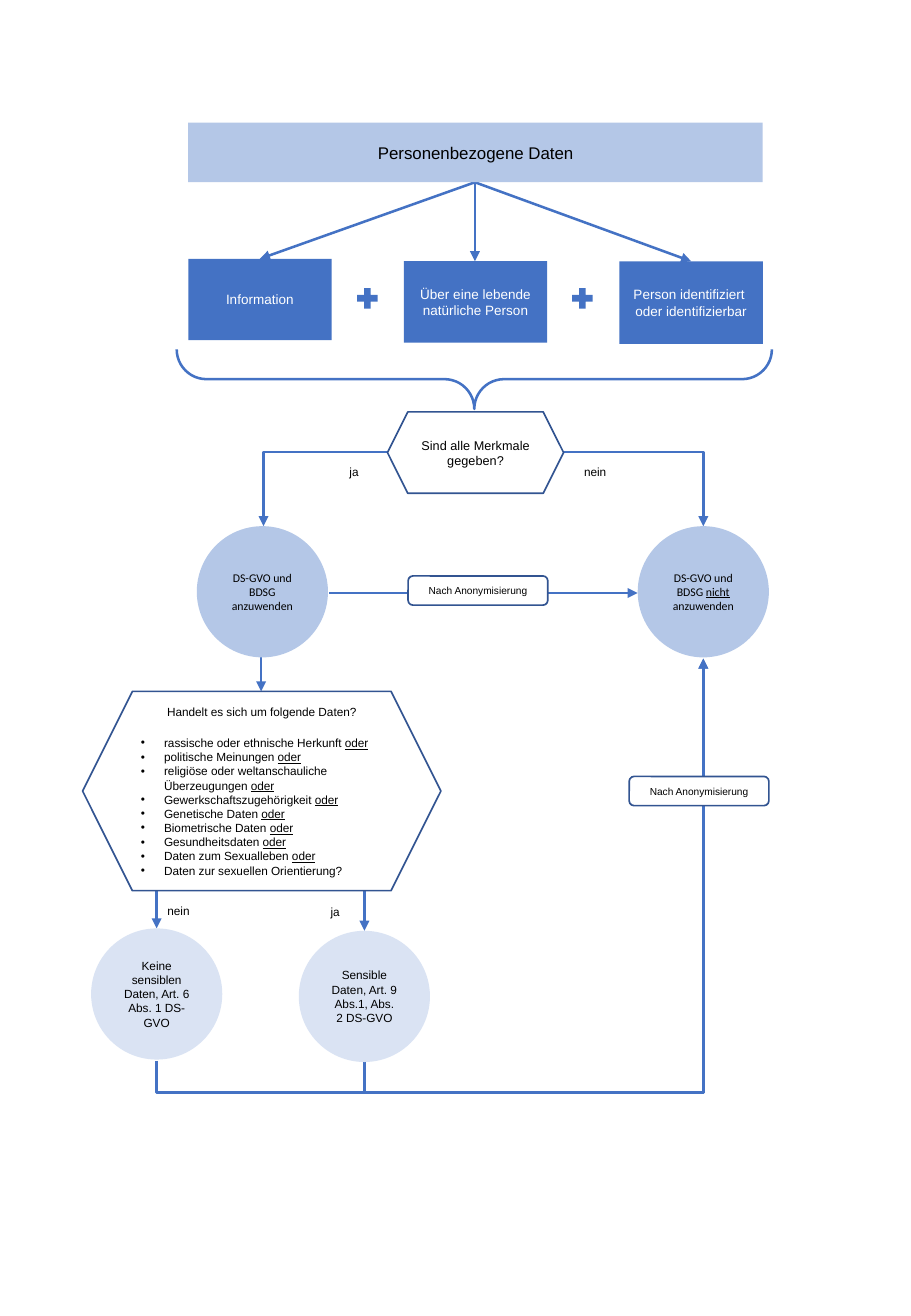
from dataclasses import dataclass
from typing import Optional

import lxml.etree
import pptx
import pptx.dml.color
import pptx.enum.shapes
import pptx.enum.text
import pptx.oxml.ns
import pptx.util

KIND = pptx.enum.shapes.MSO_SHAPE
JOIN = pptx.enum.shapes.MSO_CONNECTOR
ALIGN = pptx.enum.text.PP_ALIGN
qn = pptx.oxml.ns.qn


@dataclass(frozen=True)
class Theme:
    blue: str = "4472C4"
    edge: str = "325491"
    soft: str = "B4C7E7"
    pale: str = "DAE3F3"
    white: str = "FFFFFF"
    black: str = "000000"
    sans: str = "Arial"
    round: str = "Calibri"
    title: float = 10
    card: float = 8
    ask: float = 7.5
    body: float = 7
    tag: float = 6
    thick: float = 1.5
    thin: float = 1
    gap: float = 10


@dataclass
class Box:
    """A shape on the grid; _marks_ in its text underline a word."""
    kind: KIND
    left: float
    top: float
    wide: float
    high: float
    text: str = ""
    size: float = 7
    fill: Optional[str] = None
    edge: Optional[str] = None
    ink: str = "000000"
    font: str = "Arial"
    inset: bool = True


@dataclass
class Arrow:
    x1: float
    y1: float
    x2: float
    y2: float
    bent: bool = False


T = Theme()
deck = pptx.Presentation()
deck.slide_width = pptx.util.Inches(7.5)
deck.slide_height = pptx.util.Inches(10.83)
slide = deck.slides.add_slide(deck.slide_layouts[6])
COL = deck.slide_width / 75
ROW = deck.slide_height / 108.3


def cols(n: float) -> int:
    return round(n * COL)


def rows(n: float) -> int:
    return round(n * ROW)


def tint(code: str) -> pptx.dml.color.RGBColor:
    return pptx.dml.color.RGBColor.from_string(code)


def write(para, text: str, box: Box) -> None:
    for n, part in enumerate(text.split("_")):
        for row, words in enumerate(part.split("\n")):
            if row:
                para.add_line_break()
            if words:
                run = para.add_run()
                run.text = words
                run.font.name = box.font
                run.font.size = pptx.util.Pt(box.size)
                run.font.color.rgb = tint(box.ink)
                run.font.underline = n % 2 == 1


def draw(box: Box):
    shape = slide.shapes.add_shape(box.kind, cols(box.left), rows(box.top),
                                   cols(box.wide), rows(box.high))
    shape.shadow.inherit = False
    if box.fill:
        shape.fill.solid()
        shape.fill.fore_color.rgb = tint(box.fill)
    else:
        shape.fill.background()
    if box.edge:
        shape.line.color.rgb = tint(box.edge)
        shape.line.width = pptx.util.Pt(T.thin)
    else:
        shape.line.fill.background()
    frame = shape.text_frame
    frame.word_wrap = True
    frame.vertical_anchor = pptx.enum.text.MSO_ANCHOR.MIDDLE
    if not box.inset:
        frame.margin_left = frame.margin_right = 0
    para = frame.paragraphs[0]
    para.alignment = ALIGN.CENTER
    para.space_after = pptx.util.Pt(T.gap)
    write(para, box.text, box)
    return shape


def bullet(frame, text: str, box: Box, last: bool) -> None:
    para = frame.add_paragraph()
    para.alignment = ALIGN.LEFT
    para.space_after = pptx.util.Pt(T.gap if last else 0)
    write(para, text, box)
    props = para._p.get_or_add_pPr()
    props.set("marL", str(cols(1.9)))
    props.set("indent", str(-cols(1.9)))
    lxml.etree.SubElement(props, qn("a:buFont")).set("typeface", T.sans)
    lxml.etree.SubElement(props, qn("a:buChar")).set("char", "•")


def link(arrow: Arrow):
    line = slide.shapes.add_connector(
        JOIN.ELBOW if arrow.bent else JOIN.STRAIGHT,
        cols(arrow.x1), rows(arrow.y1), cols(arrow.x2), rows(arrow.y2))
    line.line.color.rgb = tint(T.blue)
    line.line.width = pptx.util.Pt(T.thick)
    props = line.element.spPr
    tail = lxml.etree.SubElement(props.find(qn("a:ln")), qn("a:tailEnd"))
    tail.set("type", "triangle")
    lxml.etree.SubElement(props, qn("a:effectLst"))
    if arrow.bent:
        props.find(qn("a:prstGeom")).set("prst", "bentConnector2")
    return line


def loop(arrow: Arrow, floor: float) -> None:
    """Run down to the floor, across, and up: an elbow turned a quarter."""
    midx, midy = (arrow.x1 + arrow.x2) / 2, (arrow.y1 + arrow.y2) / 2
    tall, span = arrow.y1 - arrow.y2, arrow.x2 - arrow.x1
    line = link(Arrow(midx + tall / 2, midy + span / 2,
                      midx - tall / 2, midy - span / 2, True))
    props = line.element.spPr
    props.find(qn("a:xfrm")).set("rot", "5400000")
    geom = props.find(qn("a:prstGeom"))
    geom.set("prst", "bentConnector3")
    guide = lxml.etree.SubElement(geom.find(qn("a:avLst")), qn("a:gd"))
    guide.set("name", "adj1")
    guide.set("fmla", f"val {round((arrow.y1 - floor) / tall * 100000)}")


# Arrows
MID, YES, NO = 39.1, 21.7, 57.9
PLAIN, KEEN = 12.9, 30
for arrow in (
    Arrow(PLAIN, 73, PLAIN, 76.4), Arrow(KEEN, 73, KEEN, 76.6),
    Arrow(21.5, 53.2, 21.5, 56.9),
    Arrow(MID, 15, 21.4, 21.3), Arrow(MID, 15, MID, 21.5),
    Arrow(MID, 15, 56.9, 21.5),
    Arrow(46.4, 37.2, NO, 43.3, True), Arrow(31.9, 37.2, YES, 43.3, True),
    Arrow(27.1, 48.8, 52.5, 48.8),
):
    link(arrow)
loop(Arrow(KEEN, 87.4, NO, 54.2), 89.9)
loop(Arrow(PLAIN, 87.3, NO, 54.2), 89.9)

# Heading and the three traits
draw(Box(KIND.RECTANGLE, 15.5, 10.1, 47.3, 4.9, "Personenbezogene Daten",
         T.title, T.soft))
TRAITS = (("Information", 21.3, 6.7),
          ("Über eine lebende natürliche Person", 21.5, 6.7),
          ("Person identifiziert \noder identifizierbar", 21.5, 6.8))
for n, (text, top, high) in enumerate(TRAITS):
    draw(Box(KIND.RECTANGLE, 15.5 + 17.75 * n, top, 11.8, high, text,
             T.card, T.blue, ink=T.white))
for n in range(2):
    draw(Box(KIND.MATH_PLUS, 29.1 + 17.7 * n, 23.4, 2.3, 2.3, fill=T.blue))

# Brace
brace = draw(Box(KIND.LEFT_BRACE, 36.6, 6.7, 4.9, 49, edge=T.blue))
brace.rotation = 270
brace.line.width = pptx.util.Pt(T.thick)
brace.adjustments[0], brace.adjustments[1] = 0.5, 0.5

# First question and its outcomes
draw(Box(KIND.HEXAGON, 31.9, 33.9, 14.5, 6.7,
         "Sind alle Merkmale gegeben?", T.ask, edge=T.edge))
DISC = 10.8
for left, top, text, fill, font in (
    (16.2, 43.3, "DS-GVO und BDSG anzuwenden", T.soft, T.round),
    (52.5, 43.3, "DS-GVO und BDSG _nicht_ anzuwenden", T.soft, T.round),
    (7.5, 76.4, "Keine sensiblen Daten, Art. 6 Abs. 1 DS-GVO", T.pale, T.sans),
    (24.6, 76.6, "Sensible Daten, Art. 9 Abs.1, Abs. 2 DS-GVO", T.pale, T.sans),
):
    draw(Box(KIND.OVAL, left, top, DISC, DISC, text, T.body, fill, font=font))

# Branch labels
for left, top, wide, text in ((27, 37.5, 4.3, "ja"), (46.8, 37.5, 4.4, "nein"),
                              (11.9, 73.6, 5.6, "nein"), (24.8, 73.7, 5.6, "ja")):
    draw(Box(KIND.ROUNDED_RECTANGLE, left, top, wide, 2.7, text, T.body,
             inset=False))
for left, top in ((33.6, 47.4), (51.8, 63.9)):
    draw(Box(KIND.ROUNDED_RECTANGLE, left, top, 11.5, 2.4,
             "Nach Anonymisierung", T.tag, T.white, T.edge))

# Second question with its list
sort = Box(KIND.HEXAGON, 6.8, 56.9, 29.5, 16.4,
           "Handelt es sich um folgende Daten?", T.body, T.white, T.edge)
frame = draw(sort).text_frame
ITEMS = ("rassische oder ethnische Herkunft", "politische Meinungen",
         "religiöse oder weltanschauliche Überzeugungen",
         "Gewerkschaftszugehörigkeit", "Genetische Daten", "Biometrische Daten",
         "Gesundheitsdaten", "Daten zum Sexualleben")
for text in ITEMS:
    bullet(frame, text + " _oder_", sort, False)
bullet(frame, "Daten zur sexuellen Orientierung?", sort, True)

deck.save("out.pptx")
